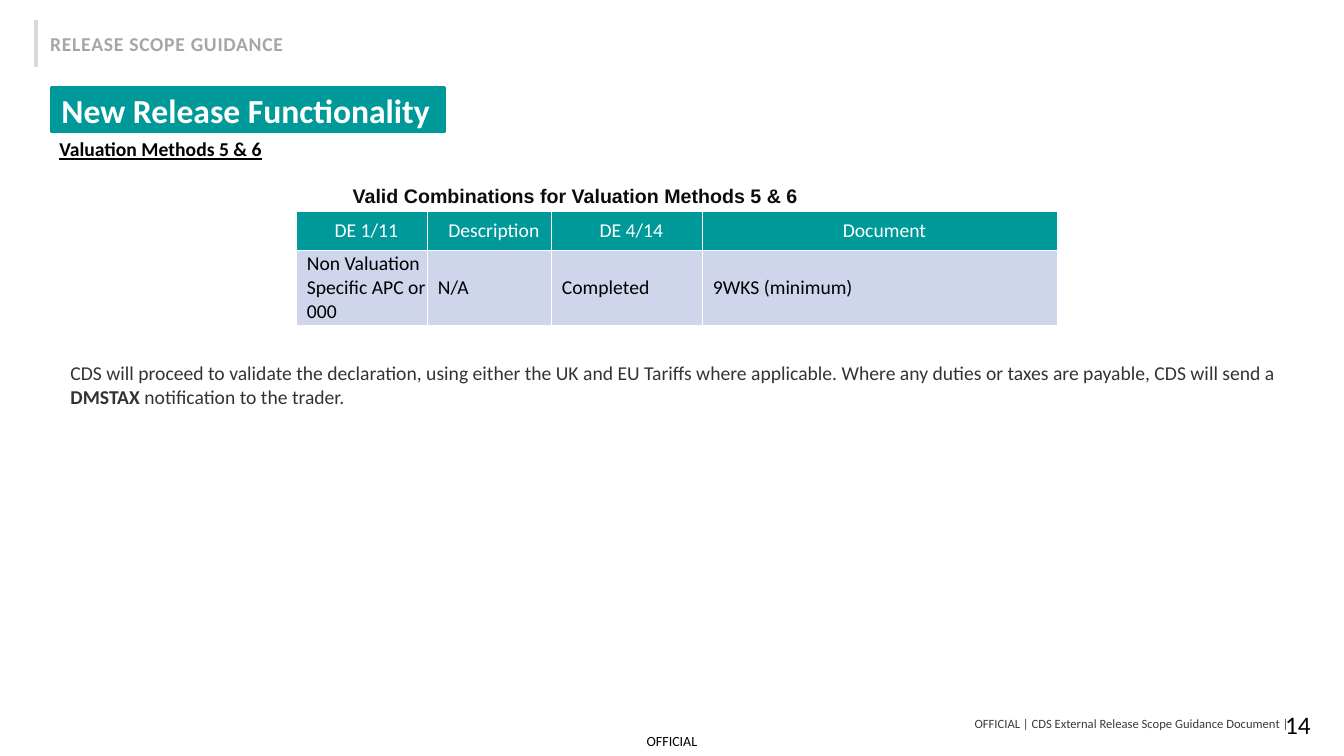
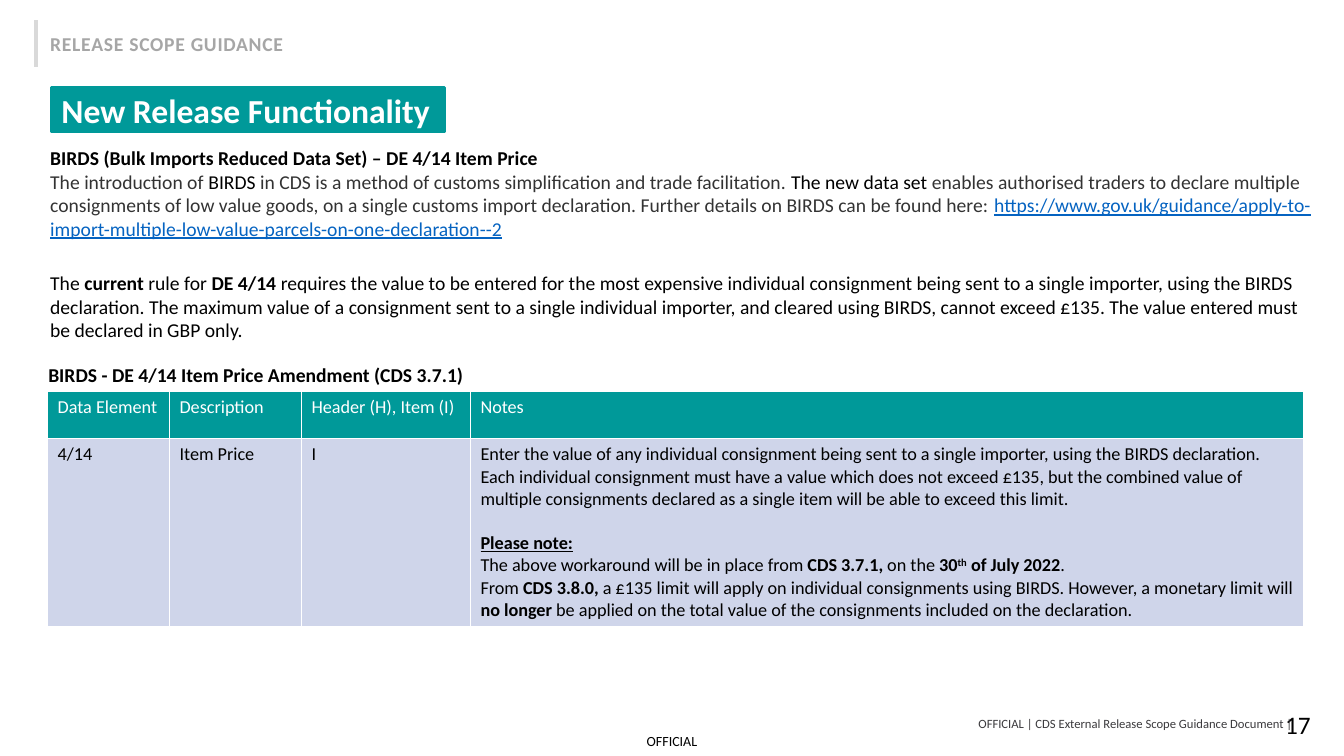
from lxml.etree import SubElement as Sub
from pptx import Presentation
from pptx.dml.color import RGBColor
from pptx.enum.shapes import MSO_CONNECTOR as Conn
from pptx.enum.text import MSO_ANCHOR as Anchor, MSO_AUTO_SIZE as Fit, PP_ALIGN as Align
from pptx.oxml.ns import qn
from pptx.util import Pt

TEAL, PALE, RULE = "009999", "CFD5EA", "D9D9D9"
BLACK, WHITE, DARK, GREY = "000000", "FFFFFF", "333333", "A6A6A6"
LINK, FOOT, INK = "0563C1", "3B3A3D", "0B0C0C"
FONT = "Calibri"
BOLD = {"bold": True}
HEAD = {"bold": True, "under": True}
BAND = (36.7, 62.6, 280.8, 31.7)


def rgb(code):
    return RGBColor.from_string(code)


def paint(fill, code):
    fill.solid()
    fill.fore_color.rgb = rgb(code)


def style(run, size=14, color=BLACK, font=FONT, bold=False, under=False,
          track=0, raised=0):
    face = run.font
    face.name, face.size, face.bold, face.underline = font, Pt(size), bold, under
    face.color.rgb = rgb(color)
    props = run._r.get_or_add_rPr()
    if track:
        props.set("spc", str(track))
    if raised:
        props.set("baseline", str(raised * 1000))


def write(frame, paras, align=Align.LEFT, anchor=Anchor.TOP, inset=None,
          wrap=True, **look):
    """Each paragraph is a string or a list of strings and (string, look) pairs.
    A dict at the head of the list gives its gap and indent."""
    frame.word_wrap = wrap
    frame.auto_size = Fit.NONE
    frame.vertical_anchor = anchor
    if inset is not None:
        frame.margin_left = frame.margin_right = Pt(inset)
        frame.margin_top = frame.margin_bottom = Pt(inset)
    fill_text(frame, paras, align, **look)


def fill_text(frame, paras, align=Align.LEFT, **look):
    for i, runs in enumerate(paras):
        para = frame.paragraphs[0] if i == 0 else frame.add_paragraph()
        para.alignment = align
        runs = [runs] if isinstance(runs, str) else list(runs)
        if isinstance(runs[0], dict):
            form = runs.pop(0)
            para.space_before = Pt(form.get("gap", 0))
            para._p.get_or_add_pPr().set("marL", str(Pt(form.get("indent", 0))))
        for item in runs:
            words, extra = (item, {}) if isinstance(item, str) else item
            run = para.add_run()
            run.text = words
            style(run, **{**look, **extra})


def text(slide, box, *paras, **form):
    shape = slide.shapes.add_textbox(*map(Pt, box))
    write(shape.text_frame, paras, **form)


# Running head: rule and section name
def header(slide, box):
    x, y, w, h = box
    for at in (x, x + 0.7):
        line = slide.shapes.add_connector(
            Conn.STRAIGHT, Pt(at), Pt(y), Pt(at), Pt(y + h))
        line.line.color.rgb = rgb(RULE)
        line.line.width = Pt(2.25)
        Sub(line._element.spPr, qn("a:effectLst"))
    text(slide, (x + 3.6, y + 5, w, 24.5), "RELEASE SCOPE GUIDANCE",
         color=GREY, bold=True, track=50, wrap=False)


# Teal title band
def band(slide, box):
    title = slide.shapes.title
    title.left, title.top, title.width, title.height = map(Pt, box)
    paint(title.fill, TEAL)
    title.line.color.rgb = rgb(TEAL)
    title.line.width = Pt(2)
    write(title.text_frame, ["New Release Functionality"], anchor=Anchor.MIDDLE,
          size=24, color=WHITE, bold=True)


# Marking, page number and document name
def footer(slide, box, page, end):
    x, y, w, h = box
    text(slide, (x + w / 2 - 28.8, y + 16, 57.6, 21), "OFFICIAL", size=10,
         align=Align.CENTER, anchor=Anchor.MIDDLE, inset=0)
    text(slide, (x + w - 52, y, 35.3, 29), str(page), size=18,
         align=Align.RIGHT, anchor=Anchor.MIDDLE)
    text(slide, (end - 688, y + 8, 688, 11.5),
         "OFFICIAL | CDS External Release Scope Guidance Document |",
         size=9, color=FOOT, align=Align.RIGHT, anchor=Anchor.MIDDLE, inset=0)


# Table with a teal head; the last column takes the rest of the width
def grid(slide, box, cols, tall, rows, size, tight=False):
    x, y, w, h = box
    cols = [*cols, w - sum(cols)]
    table = slide.shapes.add_table(
        len(rows), len(cols), *map(Pt, box)).table
    for col, width in zip(table.columns, cols):
        col.width = Pt(width)
    for r, row in enumerate(rows):
        head = r == 0
        table.rows[r].height = Pt(tall if head else (h - tall) / (len(rows) - 1))
        for c, paras in enumerate(row):
            cell = table.cell(r, c)
            paint(cell.fill, TEAL if head else PALE)
            if tight:
                cell.margin_right = cell.margin_top = cell.margin_bottom = Pt(1.44)
                cell.vertical_anchor = Anchor.MIDDLE
            fill_text(cell.text_frame, [paras] if isinstance(paras, str) else paras,
                      align=Align.CENTER if head and tight else Align.LEFT,
                      size=size, color=WHITE if head else BLACK)


def page(deck, number, end):
    slide = deck.slides.add_slide(deck.slide_layouts[5])
    header(slide, (25.2, 14.4, 183, 33.8))
    band(slide, BAND)
    footer(slide, (0, 503, 960, 37), number, end)
    return slide


def methods(slide, box):
    x, y, w, h = box
    text(slide, (x, y, w, 92),
         [("Valuation Methods 5 & 6", HEAD)],
         [{"gap": 17, "indent": 209.5},
          ("Valid Combinations for Valuation Methods 5 & 6",
           {"font": "Arial", "color": INK, "bold": True})])
    grid(slide, (x + 176.7, y + 57, 543.7, 80), (93.6, 88.6, 107.9), 27.4,
         [("DE 1/11", "Description", "DE 4/14", "Document"),
          ("Non Valuation Specific APC or 000", "N/A", "Completed",
           "9WKS (minimum)")], 14, tight=True)
    text(slide, (x + 7.9, y + 160, w - 12.4, 58),
         ["CDS will proceed to validate the declaration, using either the UK and EU "
          "Tariffs where applicable. Where any duties or taxes are payable, CDS will "
          "send a ", ("DMSTAX", BOLD), " notification to the trader."], color=DARK)


def birds(slide, box):
    x, y, w, h = box
    dark = {"color": DARK}
    text(slide, (x, y, w, 150),
         [("BIRDS (Bulk Imports Reduced Data Set) – DE 4/14 Item Price", BOLD)],
         [("The introduction of ", dark), "BIRDS",
          (" in CDS is a method of customs simplification and trade facilitation. ",
           dark), "The new data set ",
          ("enables authorised traders to declare multiple consignments of low value "
           "goods, on a single customs import declaration. Further details on BIRDS "
           "can be found here: ", dark),
          ("https://www.gov.uk/guidance/apply-to-import-multiple-low-value-parcels-"
           "on-one-declaration--2", {"color": LINK, "under": True})],
         [{"gap": 22}, "The ", ("current", BOLD), " rule for ", ("DE 4/14 ", BOLD),
          "requires the value to be entered for the most expensive individual "
          "consignment being sent to a single importer, using the BIRDS declaration. "
          "The maximum value of a consignment sent to a single individual importer, "
          "and cleared using BIRDS, cannot exceed £135. The value entered must be "
          "declared in GBP only."])
    notes = [
        "Enter the value of any individual consignment being sent to a single "
        "importer, using the BIRDS declaration. Each individual consignment must "
        "have a value which does not exceed £135, but the combined value of multiple "
        "consignments declared as a single item will be able to exceed this limit.",
        [{"gap": 16}, ("Please note:", HEAD)],
        ["The above workaround will be in place from ", ("CDS 3.7.1, ", BOLD),
         "on the ", ("30", BOLD), ("th", {"bold": True, "raised": 30}),
         (" of July 2022", BOLD), "."],
        ["From ", ("CDS 3.8.0, ", BOLD),
         "a £135 limit will apply on individual consignments using BIRDS. However, a "
         "monetary limit will ", ("no longer ", BOLD),
         "be applied on the total value of the consignments included on the "
         "declaration."]]
    grid(slide, (x + 5.2, y + 178.6, 897, 166), (87.1, 94.3, 120.7), 33.8,
         [("Data Element", "Description", "Header (H), Item (I)", "Notes"),
          ("4/14", "Item Price", "I", notes)], 13)
    text(slide, (x - 1.4, y + 154.8, w, 24),
         "BIRDS - DE 4/14 Item Price Amendment (CDS 3.7.1)", bold=True)


def main():
    deck = Presentation()
    deck.slide_width, deck.slide_height = Pt(960), Pt(540)
    methods(page(deck, 14, 920.2), (35.3, 94.3, 888.5, 218))
    birds(page(deck, 17, 923), (28.8, 100.8, 918.7, 345))
    deck.save("out.pptx")


if __name__ == "__main__":
    main()
